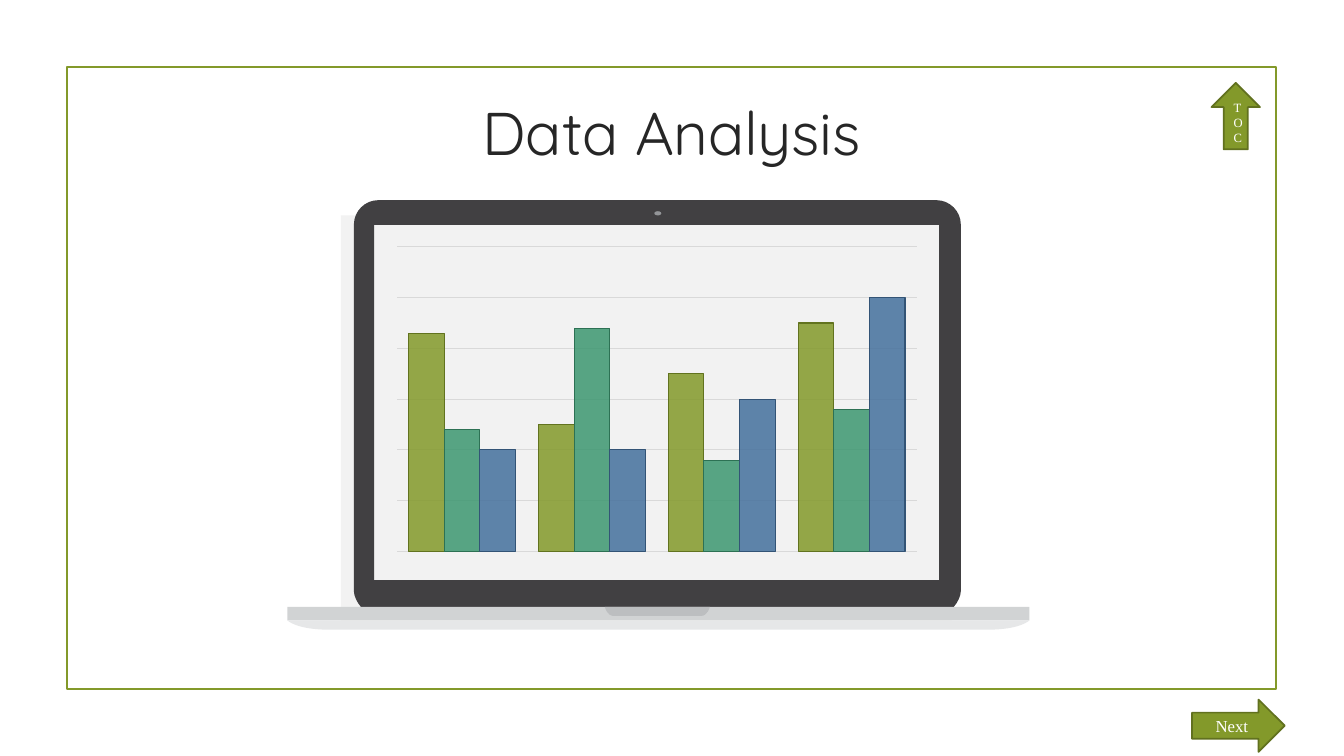
from lxml import etree
from pptx import Presentation
from pptx.chart.data import CategoryChartData
from pptx.dml.color import RGBColor
from pptx.enum.chart import XL_CHART_TYPE
from pptx.enum.shapes import MSO_SHAPE
from pptx.enum.text import MSO_ANCHOR, PP_ALIGN
from pptx.oxml import parse_xml
from pptx.oxml.ns import nsdecls, qn
from pptx.util import Pt

RECT = MSO_SHAPE.RECTANGLE
OVAL = MSO_SHAPE.OVAL
UP = MSO_SHAPE.UP_ARROW
RIGHT = MSO_SHAPE.RIGHT_ARROW
COLUMN = XL_CHART_TYPE.COLUMN_CLUSTERED
MIDDLE = MSO_ANCHOR.MIDDLE
CENTER = PP_ALIGN.CENTER
SERIF = "Times New Roman"
OLIVE = "83992A"
PALE = "F2F2F2"
BARS = [
    ("Series 1", (86, 50, 70, 90), OLIVE, "62731F"),
    ("Series 2", (48, 88, 36, 56), "3C9770", "2D7154"),
    ("Series 3", (40, 40, 60, 100), "44709D", "335476"),
]


def tint(color):
    """Turn a hex string into a colour."""
    return RGBColor.from_string(color)


def paint(item, fill=None, line=None, width=1.25):
    """Set the fill and line of a shape or a chart part."""
    if fill:
        item.fill.solid()
        item.fill.fore_color.rgb = tint(fill)
    else:
        item.fill.background()
    if line:
        item.line.color.rgb = tint(line)
        item.line.width = Pt(width)
    else:
        item.line.fill.background()


def write(shape, text, size=12, font=SERIF, color="FFFFFF"):
    """Put centred text into a shape."""
    frame = shape.text_frame
    frame.word_wrap = True
    frame.vertical_anchor = MIDDLE
    para = frame.paragraphs[0]
    para.alignment = CENTER
    run = para.add_run()
    run.text = text
    run.font.size = Pt(size)
    run.font.name = font
    run.font.color.rgb = tint(color)


def block(slide, kind, box, **look):
    """Add a preset shape without shadow."""
    shape = slide.shapes.add_shape(kind, *map(Pt, box))
    shape.shadow.inherit = False
    paint(shape, **look)
    return shape


def mirror(half, width):
    """Join the left half of a cubic outline to its reflection."""
    other = [(width - x, y) for x, y in reversed(half)]
    return half + [half[-1], other[0]] + other


def shell(slide, left, top, loops, fill):
    """Draw closed loops of cubic knots as one freeform."""
    loops = [[(Pt(left + x), Pt(top + y)) for x, y in loop] for loop in loops]
    pen = slide.shapes.build_freeform(*loops[0][0], scale=1.0)
    pen.add_line_segments(loops[0][1:], close=True)
    for loop in loops[1:]:
        pen.move_to(*loop[0])
        pen.add_line_segments(loop[1:], close=True)
    shape = pen.convert_to_shape()
    shape.shadow.inherit = False
    paint(shape, fill)
    knots = list(shape._element.iter(qn("a:lnTo")))
    for trio in zip(knots[::3], knots[1::3], knots[2::3]):
        curve = etree.Element(qn("a:cubicBezTo"))
        trio[0].addprevious(curve)
        for knot in trio:
            curve.append(knot[0])
            knot.getparent().remove(knot)


def tray(slide, box, inset, fill):
    """Draw a flat strip with rounded lower corners."""
    left, top, width, height = box
    half = [(0, 0), (0, 0), (inset * 0.2, height), (inset, height)]
    shell(slide, left, top, [mirror(half, width)], fill)


def laptop(slide, box):
    """Draw the laptop with the chart on its screen."""
    left, top, width, height = box
    lid_x, lid_w, lid_h = left + 47.5, 433.5, 290.5
    base = top + lid_h
    block(slide, RECT, (left + 38.2, top + 10.8, 436.3, 295.2), fill=PALE)
    low, high = (0, 279.4), (0, 17.3)
    half = [(5, lid_h), (2.2, 287.3), (0, 282.6), low,
            low, high, high, (0, 7.9), (7.9, 0), (17.3, 0)]
    upper, lower = (14.4, 17.6), (14.4, 271.4)
    hole = mirror([upper, upper, lower, lower], 432.4)
    shell(slide, lid_x, top, [mirror(half, lid_w), hole], "414042")
    block(slide, RECT, (left, base, width, 9.6), fill="D1D3D4")
    block(slide, OVAL, (left + 262.1, top + 7.9, 5, 3), fill="939598")
    tray(slide, (left + 226.8, base, 74.9, 6.5), 6.5, "BCBEC0")
    tray(slide, (left, base + 9.6, width, height - lid_h - 9.6), 30.2, "E6E7E8")
    plot(slide, (left + 70.6, top + 28.8, 386.6, 226.7))


def plot(slide, box):
    """Add the clustered columns."""
    data = CategoryChartData()
    data.categories = ["1", "2", "3", "4"]
    for name, values, *_ in BARS:
        data.add_series(name, values)
    chart = slide.shapes.add_chart(COLUMN, *map(Pt, box), data).chart
    chart.has_legend = False
    chart.has_title = False
    chart.font.size = Pt(10)
    chart.font.name = SERIF
    chart.font.color.rgb = tint("000000")
    chart.category_axis.visible = False
    axis = chart.value_axis
    axis.visible = False
    axis.minimum_scale, axis.maximum_scale, axis.major_unit = 0, 120, 20
    axis.has_major_gridlines = True
    grid = axis.major_gridlines.format.line
    grid.color.rgb = tint("D9D9D9")
    grid.width = Pt(0.75)
    group = chart.plots[0]
    group.gap_width, group.overlap = 65, 0
    group.vary_by_categories = False
    for series, (_, _, fill, line) in zip(group.series, BARS):
        series.invert_if_negative = False
        paint(series.format, fill, line, 0.75)
        shade = series.format.fill._xPr.find(qn("a:solidFill"))[0]
        etree.SubElement(shade, qn("a:alpha"), val="85000")
    area = chart._chartSpace.chart.plotArea
    for old in area.findall(qn("c:layout")):
        area.remove(old)
    sides = "".join(f'<c:{tag} val="{val}"/>' for tag, val in (
        ("layoutTarget", "inner"), ("xMode", "edge"), ("yMode", "edge"),
        ("x", 0.02), ("y", 0.02), ("w", 0.96), ("h", 0.96)))
    area.insert(0, parse_xml(
        f'<c:layout {nsdecls("c")}><c:manualLayout>{sides}'
        '</c:manualLayout></c:layout>'))


def head(slide, box):
    """Place the slide title."""
    title = slide.shapes.title
    title.left, title.top, title.width, title.height = map(Pt, box)
    write(title, "Data Analysis", size=43, font="Quicksand", color="262626")
    title.text_frame.word_wrap = False


def arrow(slide, kind, box, text, size):
    """Add a labelled navigation arrow."""
    shape = block(slide, kind, box, fill=OLIVE, line="61711F")
    write(shape, text, size=size)


def main():
    """Build and save the slide."""
    deck = Presentation()
    deck.slide_width, deck.slide_height = Pt(960), Pt(540)
    slide = deck.slides.add_slide(deck.slide_layouts[5])
    block(slide, RECT, (47.7, 48, 864, 444.2), line=OLIVE)
    head(slide, (312, 63.4, 335.5, 60.5))
    laptop(slide, (205.3, 143, 530, 306.8))
    arrow(slide, UP, (865.4, 59.2, 34.6, 47.5), "TOC", 9)
    arrow(slide, RIGHT, (851.5, 499.7, 66.2, 37.4), "Next", 12)
    deck.save("out.pptx")


if __name__ == "__main__":
    main()
